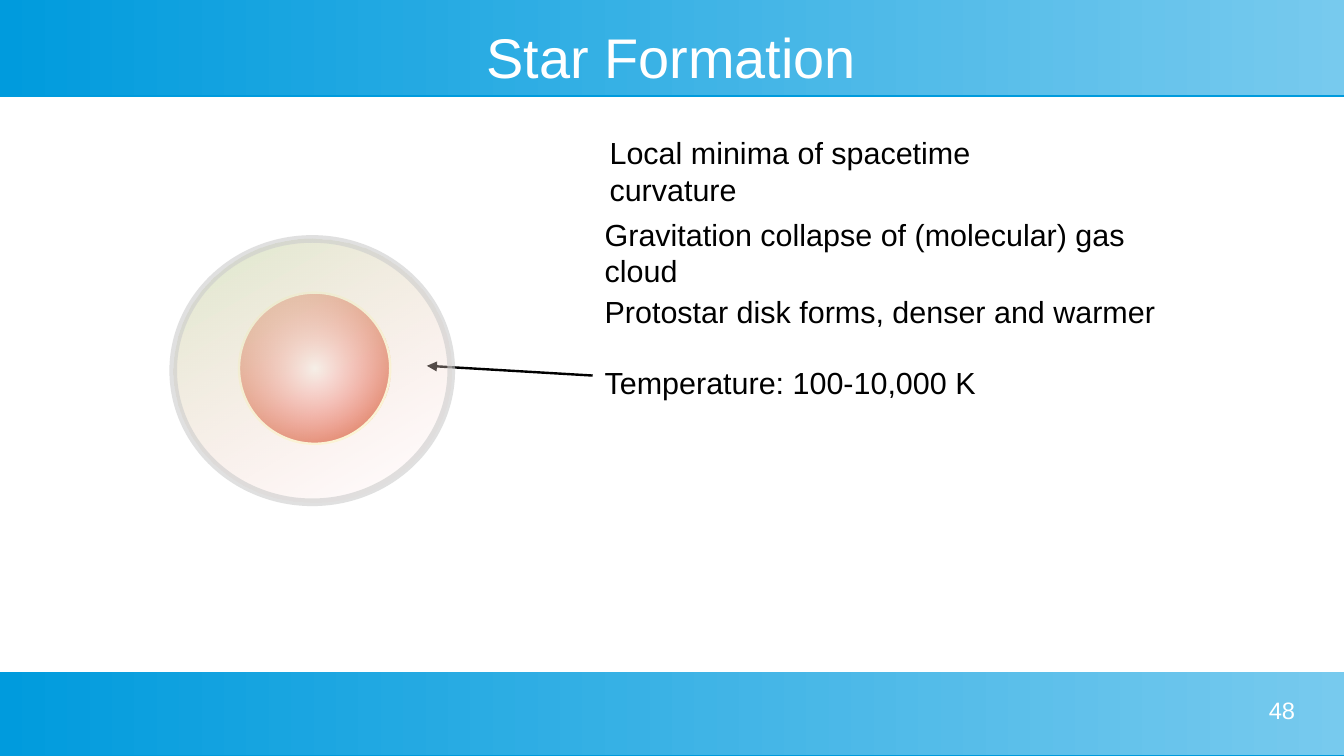
from pptx import Presentation
from pptx.dml.color import RGBColor
from pptx.enum import shapes, text
from pptx.oxml import parse_xml
from pptx.oxml.ns import nsdecls, qn
from pptx.util import Inches, Pt

COLORS = {
    "sky": "77CAEE", "blue": "009BDD", "white": "FFFFFF", "black": "000000",
    "red": "FF0000", "rust": "BE480A", "cream": "FFFFD7",
    "green": "DDE8CB", "pink": "FFD7D7", "grey": "CCCCCC",
}
FONT = "Arial"
WIDTH, HEIGHT = 11.02, 6.2
TITLE = "Star Formation"
PAGE_NUMBER = "48"
BANDS = [(0, 0.78), (5.51, 0.68)]  # top, height
NOTES = [  # text, left, top, width, height
    ("Local minima of spacetime curvature", 4.9, 1.05, 4.2, 0.37),
    ("Gravitation collapse of (molecular) gas cloud", 4.86, 1.72, 5.05, 0.37),
    ("Protostar disk forms, denser and warmer", 4.86, 2.35, 5.1, 0.65),
    ("Temperature: 100-10,000 K", 4.86, 2.94, 5.1, 0.65),
]
ARROW = (4.86, 3.08, 3.5, 3)
CORE = (1.96, 2.4, 1.24, 1.24)
CLOUD = (1.42, 1.96, 2.28, 2.16)
LINEAR = '<a:lin ang="{}" scaled="0"/>'
RADIAL = ('<a:path path="circle"><a:fillToRect l="50000" t="50000" '
          'r="50000" b="50000"/></a:path>')


def rgb(name):
    return RGBColor.from_string(COLORS[name])


def add_gradient_shape(slide, preset, box, start, end, direction):
    """Add a shape whose start and end are (colour name, opacity percent)."""
    shape = slide.shapes.add_shape(preset, *map(Inches, box))
    shape.shadow.inherit = False
    shape.line.fill.background()
    stops = "".join(
        f'<a:gs pos="{position}"><a:srgbClr val="{COLORS[name]}">'
        f'<a:alpha val="{opacity * 1000}"/></a:srgbClr></a:gs>'
        for position, (name, opacity) in ((0, start), (100000, end)))
    gradient = parse_xml(f'<a:gradFill {nsdecls("a")}><a:gsLst>{stops}</a:gsLst>'
                         f'{direction}</a:gradFill>')
    shape._element.spPr.find(qn("a:prstGeom")).addnext(gradient)
    return shape


def set_outline(shape, color, width):
    shape.line.color.rgb = rgb(color)
    shape.line.width = Pt(width)


def write(shape, words, size, color, align, margins=(0, 0),
          anchor=text.MSO_ANCHOR.TOP):
    frame = shape.text_frame
    frame.word_wrap = True
    frame.auto_size = text.MSO_AUTO_SIZE.NONE
    frame.vertical_anchor = anchor
    frame.margin_left = frame.margin_right = Inches(margins[0])
    frame.margin_top = frame.margin_bottom = Inches(margins[1])
    paragraph = frame.paragraphs[0]
    paragraph.alignment = align
    run = paragraph.add_run()
    run.text = words
    run.font.name = FONT
    run.font.size = Pt(size)
    run.font.color.rgb = rgb(color)


def add_band(slide, top, height):
    band = add_gradient_shape(slide, shapes.MSO_SHAPE.RECTANGLE,
                              (0, top, WIDTH, height), ("sky", 100),
                              ("blue", 100), LINEAR.format(180 * 60000))
    band._element.spPr.find(qn("a:effectLst")).append(parse_xml(
        f'<a:outerShdw {nsdecls("a")} dist="{Pt(0.9)}" dir="5400000" '
        f'rotWithShape="0"><a:srgbClr val="{COLORS["blue"]}"/></a:outerShdw>'))


def add_arrow(slide):
    arrow = slide.shapes.add_connector(shapes.MSO_CONNECTOR.STRAIGHT,
                                       *map(Inches, ARROW))
    set_outline(arrow, "black", 1.42)
    arrow.line._get_or_add_ln().append(
        parse_xml(f'<a:tailEnd {nsdecls("a")} type="triangle"/>'))
    arrow._element.spPr.append(parse_xml(f'<a:effectLst {nsdecls("a")}/>'))


def add_protostar(slide):
    oval = shapes.MSO_SHAPE.OVAL
    core = add_gradient_shape(slide, oval, CORE, ("red", 0), ("rust", 100), RADIAL)
    set_outline(core, "cream", 1.42)
    cloud = add_gradient_shape(slide, oval, CLOUD, ("green", 100), ("pink", 0),
                               LINEAR.format(60 * 60000))
    set_outline(cloud, "grey", 4.5)
    line_color = cloud.line._get_or_add_ln().find(".//" + qn("a:srgbClr"))
    line_color.append(parse_xml(f'<a:alpha {nsdecls("a")} val="60000"/>'))


def main():
    presentation = Presentation()
    presentation.slide_width = Inches(WIDTH)
    presentation.slide_height = Inches(HEIGHT)
    slide = presentation.slides.add_slide(presentation.slide_layouts[5])

    for top, height in BANDS:
        add_band(slide, top, height)

    title = slide.shapes.title
    title.left, title.top, title.width, title.height = map(
        Inches, (0.39, 0.2, 10.23, 0.52))
    write(title, TITLE, 33, "white", text.PP_ALIGN.CENTER,
          anchor=text.MSO_ANCHOR.MIDDLE)
    slide.shapes._spTree.append(title._element)  # in front of the bands

    for words, *box in NOTES:
        note = slide.shapes.add_textbox(*map(Inches, box))
        write(note, words, 18, "black", text.PP_ALIGN.LEFT, (0.1, 0.05))

    add_arrow(slide)
    add_protostar(slide)

    number = slide.shapes.add_textbox(*map(Inches, (8.07, 5.71, 2.55, 0.39)))
    write(number, PAGE_NUMBER, 14, "white", text.PP_ALIGN.RIGHT)

    presentation.save("out.pptx")


if __name__ == "__main__":
    main()
